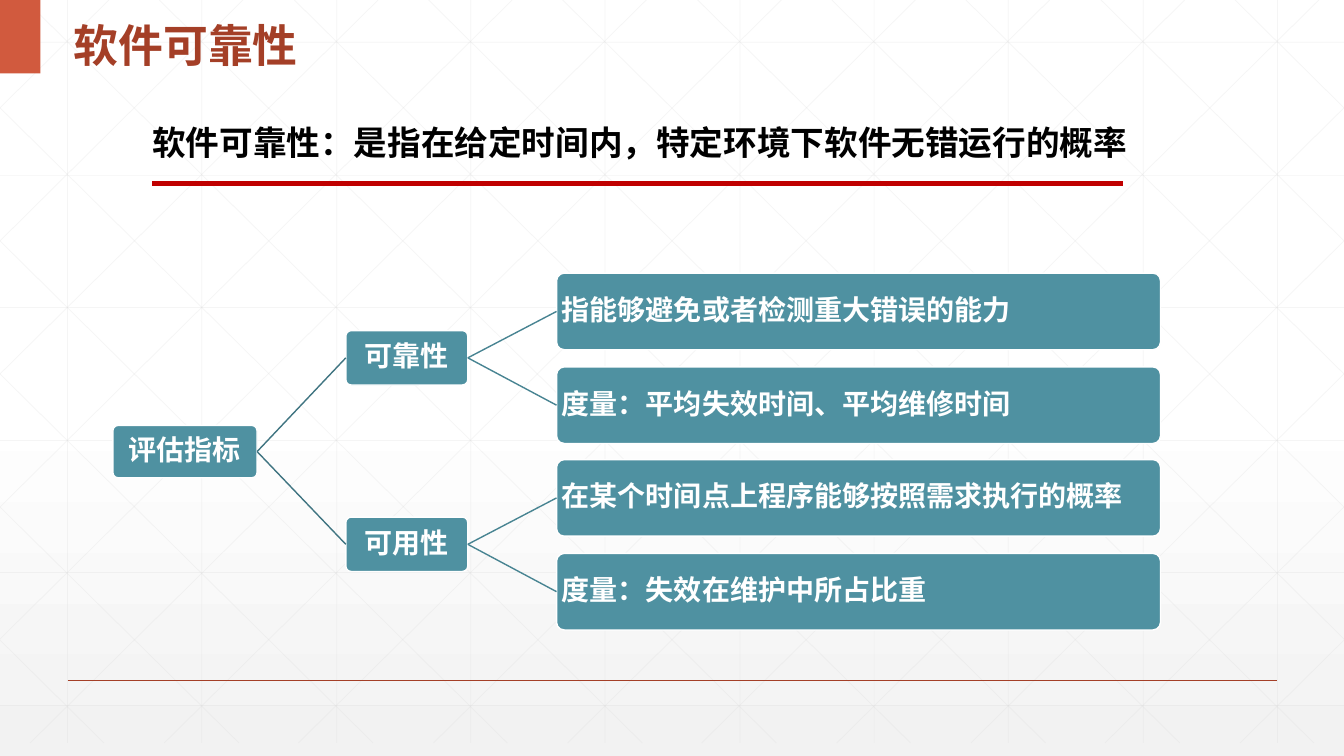
from dataclasses import dataclass

from lxml.etree import SubElement
from pptx import Presentation
from pptx.dml.color import RGBColor
from pptx.enum.shapes import MSO_CONNECTOR, MSO_SHAPE
from pptx.enum.text import MSO_ANCHOR as Anchor, MSO_AUTO_SIZE as AutoSize, PP_ALIGN as Align
from pptx.oxml.ns import qn
from pptx.util import Pt

PX = 9144  # 100 px to the inch
WIDTH, HEIGHT = 1333, 750
GRID_BOTTOM = 737
GRID_STEP = 400 / 3
DIAGONAL_RUN = 745

WHITE = RGBColor(0xFF, 0xFF, 0xFF)
BLACK = RGBColor(0, 0, 0)
PALE_GREY = RGBColor(0xF2, 0xF2, 0xF2)
GRID_GREY = RGBColor(0xD9, 0xD9, 0xD9)
ORANGE = RGBColor(0xD1, 0x5A, 0x3E)
RUST = RGBColor(0xA4, 0x3F, 0x27)
RED = RGBColor(0xC0, 0, 0)
TEAL = RGBColor(0x4F, 0x91, 0xA1)
DARK_TEAL = RGBColor(0x3F, 0x74, 0x81)
MID_TEAL = RGBColor(0x48, 0x84, 0x92)

CJK_FONT = "Noto Sans CJK SC"


@dataclass(frozen=True)
class Level:
    left: int
    width: int
    height: int
    align: Align
    link_color: RGBColor


@dataclass(frozen=True)
class Node:
    text: str
    level: Level
    top: int
    children: tuple = ()


ROOT = Level(112, 143, 52, Align.CENTER, DARK_TEAL)
BRANCH = Level(343, 121, 54, Align.CENTER, MID_TEAL)
LEAF = Level(552, 599, 76, Align.LEFT, MID_TEAL)
LEAF_TOPS = [271 + round(92.67 * row) for row in range(4)]

TREE = Node("评估指标", ROOT, 422, (
    Node("可靠性", BRANCH, 328, (
        Node("指能够避免或者检测重大错误的能力", LEAF, LEAF_TOPS[0]),
        Node("度量：平均失效时间、平均维修时间", LEAF, LEAF_TOPS[1]),
    )),
    Node("可用性", BRANCH, 513, (
        Node("在某个时间点上程序能够按照需求执行的概率", LEAF, LEAF_TOPS[2]),
        Node("度量：失效在维护中所占比重", LEAF, LEAF_TOPS[3]),
    )),
))


def set_attributes(target, values: dict) -> None:
    for name, value in values.items():
        setattr(target, name, value)


def box(left: int, top: int, width: int, height: int) -> tuple:
    return left * PX, top * PX, width * PX, height * PX


def write(shape, text: str, size: int, color: RGBColor, align: Align, spacing: float,
          frame_format: dict, font_name: str = "Arial") -> None:
    """Put one bold paragraph into the shape."""
    frame = shape.text_frame
    set_attributes(frame, {"word_wrap": True, "auto_size": AutoSize.NONE, **frame_format})
    paragraph = frame.paragraphs[0]
    set_attributes(paragraph, {"alignment": align, "line_spacing": spacing})
    run = paragraph.add_run()
    run.text = text
    set_attributes(run.font, {"size": Pt(size), "bold": True, "name": font_name})
    run.font.color.rgb = color
    SubElement(run._r.get_or_add_rPr(), qn("a:ea"), typeface=CJK_FONT)


def add_line(shapes, start: tuple, end: tuple, color: RGBColor, weight: float, opacity: int = 100):
    points = [round(value) * PX for value in (*start, *end)]
    line = shapes.add_connector(MSO_CONNECTOR.STRAIGHT, *points)
    line.line.color.rgb = color
    line.line.width = Pt(weight)
    properties = line.element.spPr
    if opacity < 100:
        SubElement(properties.find(".//" + qn("a:srgbClr")), qn("a:alpha"), val=str(opacity * 1000))
    SubElement(properties, qn("a:effectLst"))
    return line


def add_block(shapes, kind: MSO_SHAPE, bounds: tuple, fill: RGBColor):
    shape = shapes.add_shape(kind, *box(*bounds))
    shape.shadow.inherit = False
    shape.fill.solid()
    shape.fill.fore_color.rgb = fill
    shape.line.fill.background()
    return shape


def add_grid(shapes) -> None:
    """Draw faint squares and both sets of diagonals, clipped to the grid area."""
    lines = []
    for column in range(10):
        x = 67 + column * GRID_STEP
        lines.append(((x, 0), (x, GRID_BOTTOM)))
    for row in range(6):
        y = 42 + row * 131.6
        lines.append(((0, y), (WIDTH, y)))
    slope = GRID_BOTTOM / DIAGONAL_RUN
    for index in range(-5, 10):
        origin = 25 + index * GRID_STEP
        left, right = max(origin, 0), min(origin + DIAGONAL_RUN, WIDTH)
        top, bottom = (left - origin) * slope, (right - origin) * slope
        lines.append(((left, top), (right, bottom)))
        lines.append(((WIDTH - left, top), (WIDTH - right, bottom)))
    for start, end in lines:
        add_line(shapes, start, end, GRID_GREY, 0.5, opacity=25)


def add_node(shapes, node: Node):
    """Draw a node, its descendants and the links between them."""
    level = node.level
    bounds = (level.left, node.top, level.width, level.height)
    shape = add_block(shapes, MSO_SHAPE.ROUNDED_RECTANGLE, bounds, TEAL)
    shape.adjustments[0] = 0.1
    shape.line.color.rgb = WHITE
    shape.line.width = Pt(1)
    margins = {"margin_left": 3 * PX, "margin_right": 3 * PX, "margin_top": 3 * PX,
               "margin_bottom": 3 * PX, "vertical_anchor": Anchor.MIDDLE}
    write(shape, node.text, 20, WHITE, level.align, 0.9, margins)
    for child in node.children:
        child_shape = add_node(shapes, child)
        link = add_line(shapes, (0, 0), (1, 1), level.link_color, 1)
        link.begin_connect(shape, 3)
        link.end_connect(child_shape, 1)
    return shape


def add_background(slide) -> None:
    fill = slide.background.fill
    fill.gradient()
    fill.gradient_angle = 270
    for stop, position, color in zip(fill.gradient_stops, (0.53, 1), (WHITE, PALE_GREY)):
        stop.position = position
        stop.color.rgb = color


def main() -> None:
    presentation = Presentation()
    set_attributes(presentation, {"slide_width": WIDTH * PX, "slide_height": HEIGHT * PX})
    slide = presentation.slides.add_slide(presentation.slide_layouts[5])
    shapes = slide.shapes
    add_background(slide)
    add_grid(shapes)
    add_line(shapes, (67, 675), (1267, 675), RUST, 1)
    add_block(shapes, MSO_SHAPE.RECTANGLE, (0, 0, 40, 73), ORANGE)

    title = shapes.title
    title.element.getparent().append(title.element)
    set_attributes(title, dict(zip(("left", "top", "width", "height"), box(63, 0, 569, 73))))
    write(title, "软件可靠性", 32, RUST, Align.LEFT, 1.3,
          {"vertical_anchor": Anchor.MIDDLE}, CJK_FONT)

    definition = shapes.add_textbox(*box(111, 121, 1018, 61))
    write(definition, "软件可靠性：是指在给定时间内，特定环境下软件无错运行的概率", 24, BLACK,
          Align.LEFT, 0.9, {"margin_left": 40 * PX, "margin_right": 0})
    add_node(shapes, TREE)
    add_line(shapes, (151, 182), (1114, 182), RED, 3)
    presentation.save("out.pptx")


if __name__ == "__main__":
    main()
